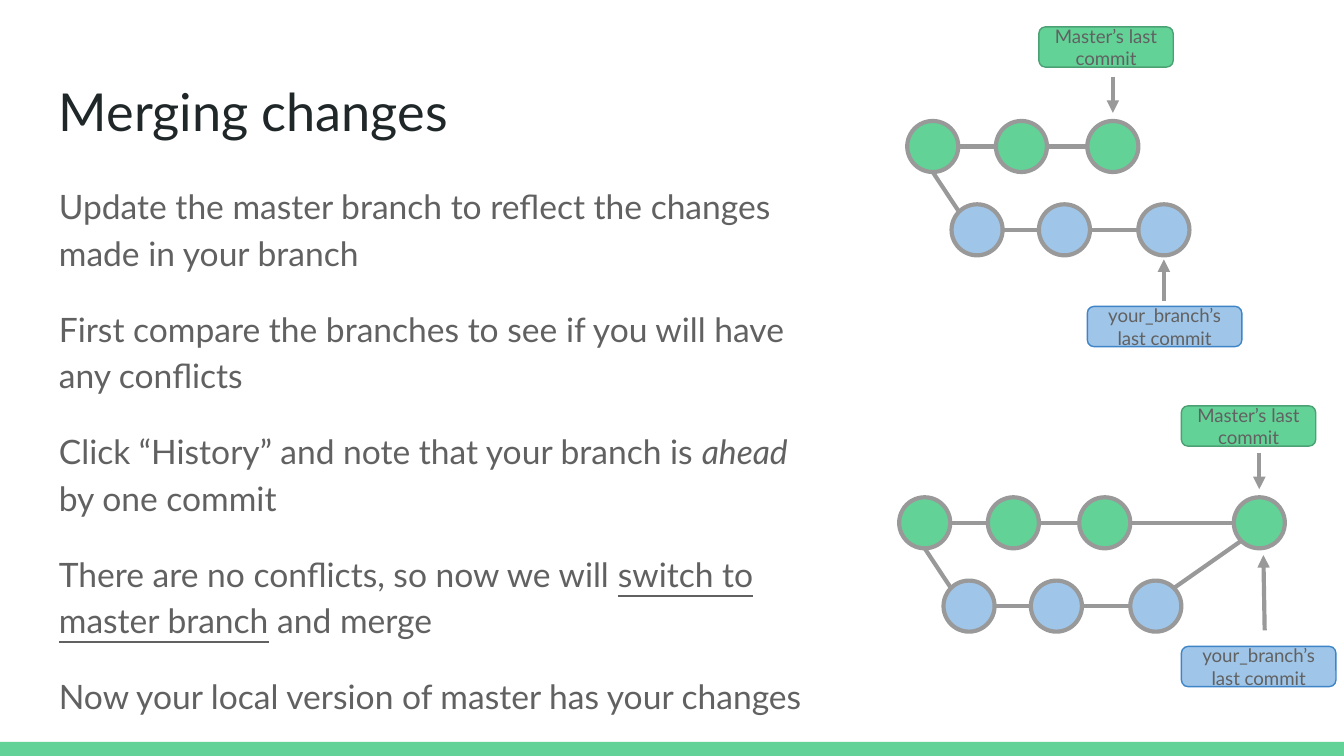
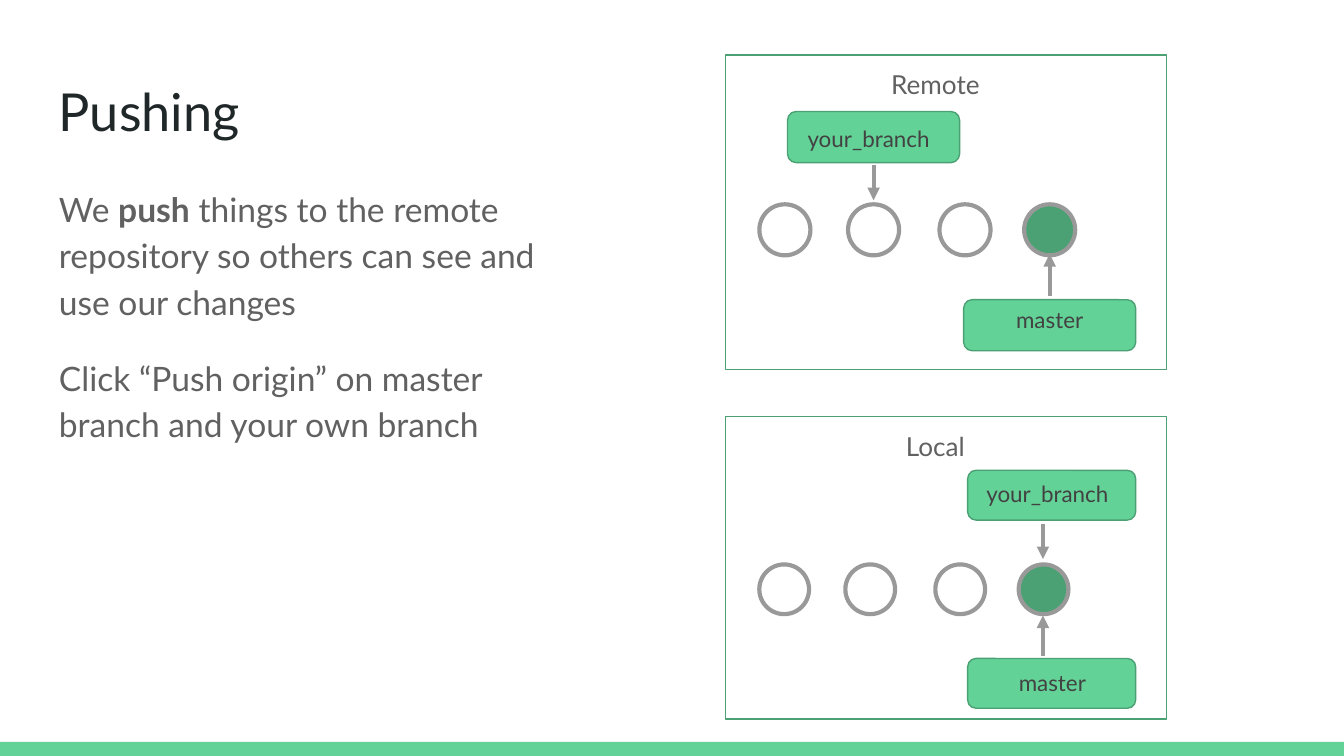
from math import cos, radians, sin

from lxml.etree import SubElement
from pptx import Presentation
from pptx.dml.color import RGBColor
from pptx.enum.shapes import MSO_CONNECTOR as Line, MSO_SHAPE as Shape
from pptx.enum.text import MSO_ANCHOR as Anchor, PP_ALIGN as Align
from pptx.oxml.ns import qn
from pptx.util import Inches, Pt

COLS, ROWS = 100, 56.25
CELL = Inches(10) / COLS
COLORS = {
    "white": "FFFFFF", "green": "63D297", "dark_green": "4BA173",
    "blue": "9FC5E8", "dark_blue": "3D85C6", "gray": "999999",
    "title": "202729", "body": "616161", "label": "424242",
}
DOT = 3.8
TOP, LEFT, BOTTOM, RIGHT = 270, 180, 90, 0  # clockwise degrees from the right
UP_LEFT, UP_RIGHT, DOWN_LEFT = 225, 315, 135


def rgb(name):
    return RGBColor.from_string(COLORS[name])


def grid(*cells):
    return [round(n * CELL) for n in cells]


def rim(center, angle):
    """Point on the outline of a commit dot."""
    a = radians(angle)
    return center[0] + DOT / 2 * cos(a), center[1] + DOT / 2 * sin(a)


class Deck:
    """Shared style plus the slide being drawn; all lengths are grid cells."""

    def __init__(self):
        self.prs = Presentation()
        self.prs.slide_width, self.prs.slide_height = grid(COLS, ROWS)
        self.s = None

    def slide(self, title, body, body_box):
        self.s = self.prs.slides.add_slide(self.prs.slide_layouts[6])
        self.shape(Shape.RECTANGLE, (0, 55.2, COLS, ROWS - 55.2), "green")
        self.text((3.4, 4.9, 46.6, 6.3), [title], 28, "title")
        self.text(body_box, body, 18, "body", line_spacing=1.15)

    def fill_frame(self, tf, paragraphs, size, color, **para_format):
        """Fill a frame; a paragraph is a string or a list of (text, style) runs."""
        insets = ("margin_left", "margin_top", "margin_right", "margin_bottom")
        for name in insets:
            setattr(tf, name, Inches(0.1))
        tf.word_wrap = True
        for i, runs in enumerate(paragraphs):
            p = tf.add_paragraph() if i else tf.paragraphs[0]
            for name, value in para_format.items():
                setattr(p, name, value)
            if i:
                p.space_before = Pt(16)
            for words, style in [(runs, {})] if isinstance(runs, str) else runs:
                r = p.add_run()
                r.text = words
                for name, value in {"name": "Lato", "size": Pt(size), **style}.items():
                    setattr(r.font, name, value)
                r.font.color.rgb = rgb(color)

    def text(self, box, paragraphs, size, color, **para_format):
        tf = self.s.shapes.add_textbox(*grid(*box)).text_frame
        self.fill_frame(tf, paragraphs, size, color, **para_format)

    def shape(self, kind, box, fill=None, line=None, width=0.75):
        sp = self.s.shapes.add_shape(kind, *grid(*box))
        sp.shadow.inherit = False
        if fill:
            sp.fill.solid()
            sp.fill.fore_color.rgb = rgb(fill)
        else:
            sp.fill.background()
        if line:
            sp.line.color.rgb = rgb(line)
            sp.line.width = Pt(width)
        else:
            sp.line.fill.background()
        return sp

    def tag(self, box, fill="green", line="dark_green", words=None):
        sp = self.shape(Shape.ROUNDED_RECTANGLE, box, fill, line)
        if words:
            sp.text_frame.vertical_anchor = Anchor.MIDDLE
            self.fill_frame(sp.text_frame, [words], 10, "body", alignment=Align.CENTER)

    def commit(self, x, y, fill, size=DOT):
        """Draw a dot and return its center."""
        self.shape(Shape.OVAL, (x, y, size, size), fill, "gray", 2.25)
        return x + size / 2, y + size / 2

    def line(self, start, end, arrow=False):
        c = self.s.shapes.add_connector(Line.STRAIGHT, *grid(*start, *end))
        c.line.color.rgb = rgb("gray")
        c.line.width = Pt(2.25)
        spPr = c.element.spPr
        if arrow:
            SubElement(spPr.find(qn("a:ln")), qn("a:tailEnd"), type="triangle")
        SubElement(spPr, qn("a:effectLst"))

    def branch(self, xs, y, fill):
        """Draw a row of linked commits and return their centers."""
        dots = [self.commit(x, y, fill) for x in xs]
        for a, b in zip(dots, dots[1:]):
            self.line(rim(a, RIGHT), rim(b, LEFT))
        return dots

    def history(self, x, y, merged=False):
        """Draw master with a branch below it, optionally merged back."""
        offsets = [0, 6.6, 13.4] + [24.9] * merged
        master = self.branch([x + dx for dx in offsets], y, "green")
        branch = self.branch([x + dx for dx in (3.3, 9.8, 17.2)], y + 6.2, "blue")
        self.line(rim(master[0], BOTTOM), rim(branch[0], UP_LEFT))
        if merged:
            self.line(rim(branch[-1], UP_RIGHT), rim(master[-1], DOWN_LEFT))
        tip = master[-1][0]
        self.line((tip, y - 3.3), (tip, y - 0.6), arrow=True)

    def master_tag(self, x, y):
        self.tag((x, y, 10, 3), words="Master’s last commit")

    def branch_tag(self, x, y):
        self.tag((x, y, 11.5, 3), "blue", "dark_blue", "your_branch’s last commit")

    def repository(self, name, y, height, dots, dot_y, size, tags, arrows):
        *older, latest = dots
        for x in older:
            self.commit(x, dot_y, "white", size)
        self.commit(latest, dot_y, "dark_green", size)
        for start, end in arrows:
            self.line(start, end, arrow=True)
        self.shape(Shape.RECTANGLE, (54, y, 32.8, height), line="dark_green")
        self.text((56.5, y, 26.2, 3), [name], 14, "body", alignment=Align.CENTER)
        for words, align, box, label in tags:
            self.tag(box)
            self.text((*label, 11.8, 2.6), [words], 12, "label", alignment=align)


def merging(deck):
    deck.slide("Merging changes", [
        "Update the master branch to reflect the changes made in your branch",
        "First compare the branches to see if you will have any conflicts",
        [("Click “History” and note that your branch is ", {}),
         ("ahead", {"italic": True}), (" by one commit", {})],
        [("There are no conflicts, so now we will ", {}),
         ("switch to master branch", {"underline": True}), (" and merge", {})],
        "Now your local version of master has your changes",
    ], (3.4, 12.4, 59.3, 37.4))

    deck.history(67.5, 9)
    deck.master_tag(77.3, 2)
    deck.line((86.6, 22.4), (86.6, 19.3), arrow=True)
    deck.branch_tag(80.9, 22.8)

    deck.history(66.9, 37, merged=True)
    deck.master_tag(87.9, 30.2)
    deck.line((94.1, 46.9), (94, 41.3), arrow=True)
    deck.branch_tag(87.9, 48.1)


def pushing(deck):
    deck.slide("Pushing", [
        [("We ", {}), ("push", {"bold": True}),
         (" things to the remote repository so others can see and use our changes", {})],
        "Click “Push origin” on master branch and your own branch",
    ], (3.4, 12.6, 40.5, 37.4))

    deck.repository(
        "Remote", 4.1, 23.4, (56.5, 63.1, 69.9, 76.2), 15.2, DOT,
        tags=[("your_branch", Align.LEFT, (58.6, 8.3, 12.8, 3.8), (59.1, 8.3)),
              ("master", Align.CENTER, (71.7, 22.3, 12.8, 3.8), (72.2, 21.8))],
        arrows=[((65, 12.3), (65, 14.9)), ((78.1, 22), (78.1, 18.9))])
    deck.repository(
        "Local", 31, 22.5, (56.5, 62.9, 69.6, 75.8), 42, 3.7,
        tags=[("your_branch", Align.LEFT, (72, 35, 12.5, 3.7), (72.4, 34.7)),
              ("master", Align.CENTER, (72, 49, 12.5, 3.7), (72.4, 48.8))],
        arrows=[((77.6, 39), (77.6, 41.6)), ((77.6, 48.8), (77.6, 45.8))])


def main():
    deck = Deck()
    merging(deck)
    pushing(deck)
    deck.prs.save("out.pptx")


if __name__ == "__main__":
    main()
